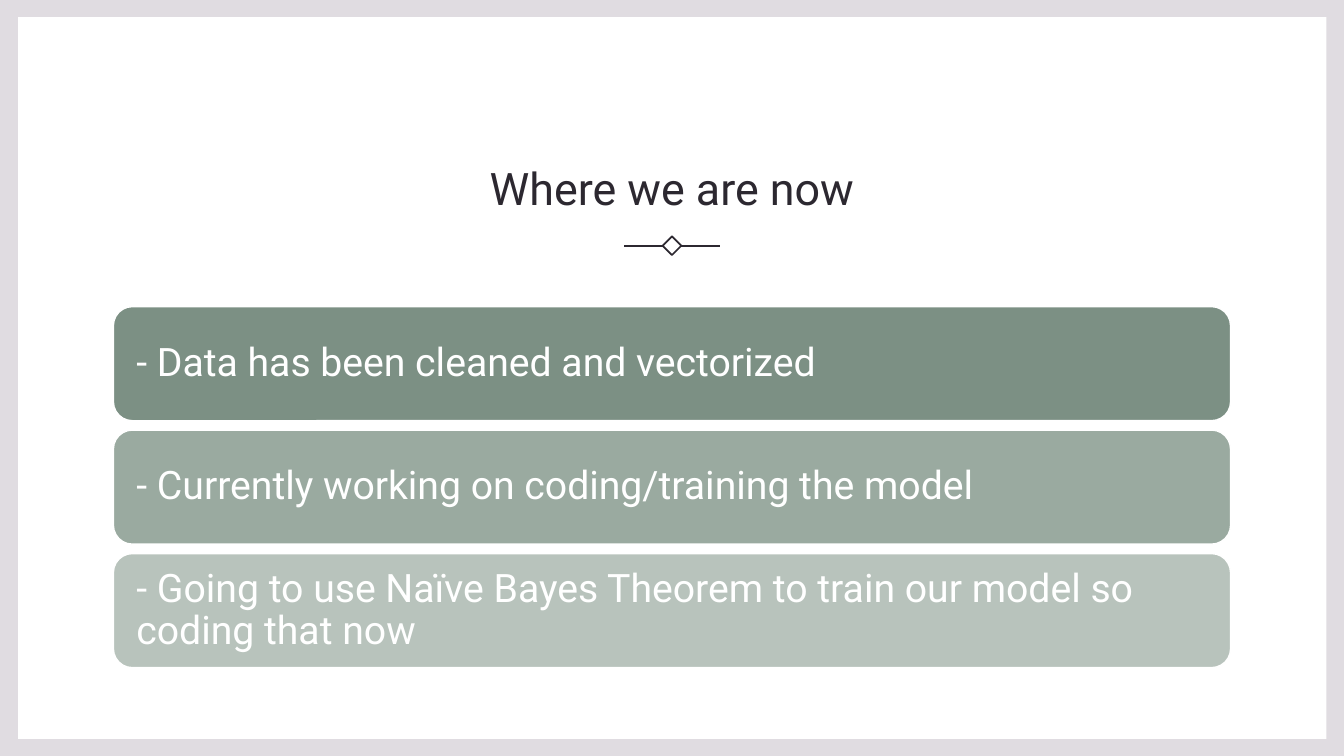
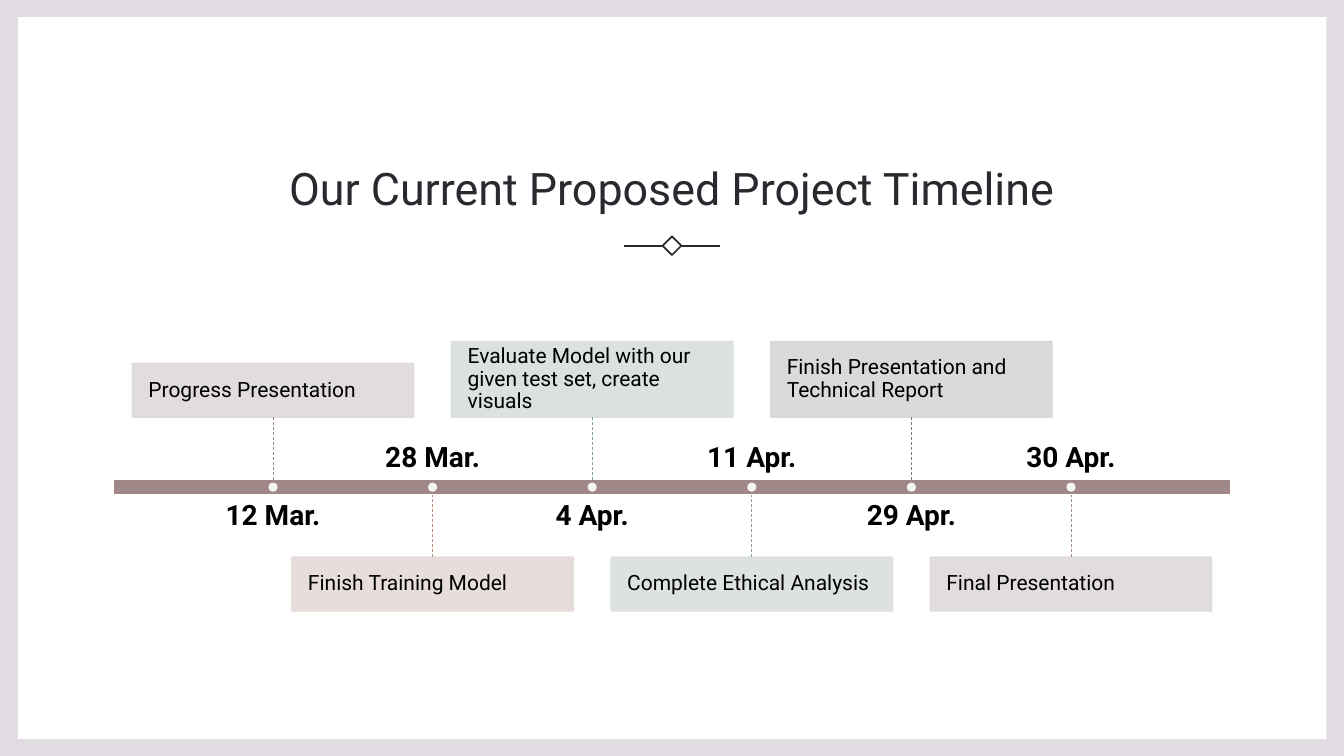
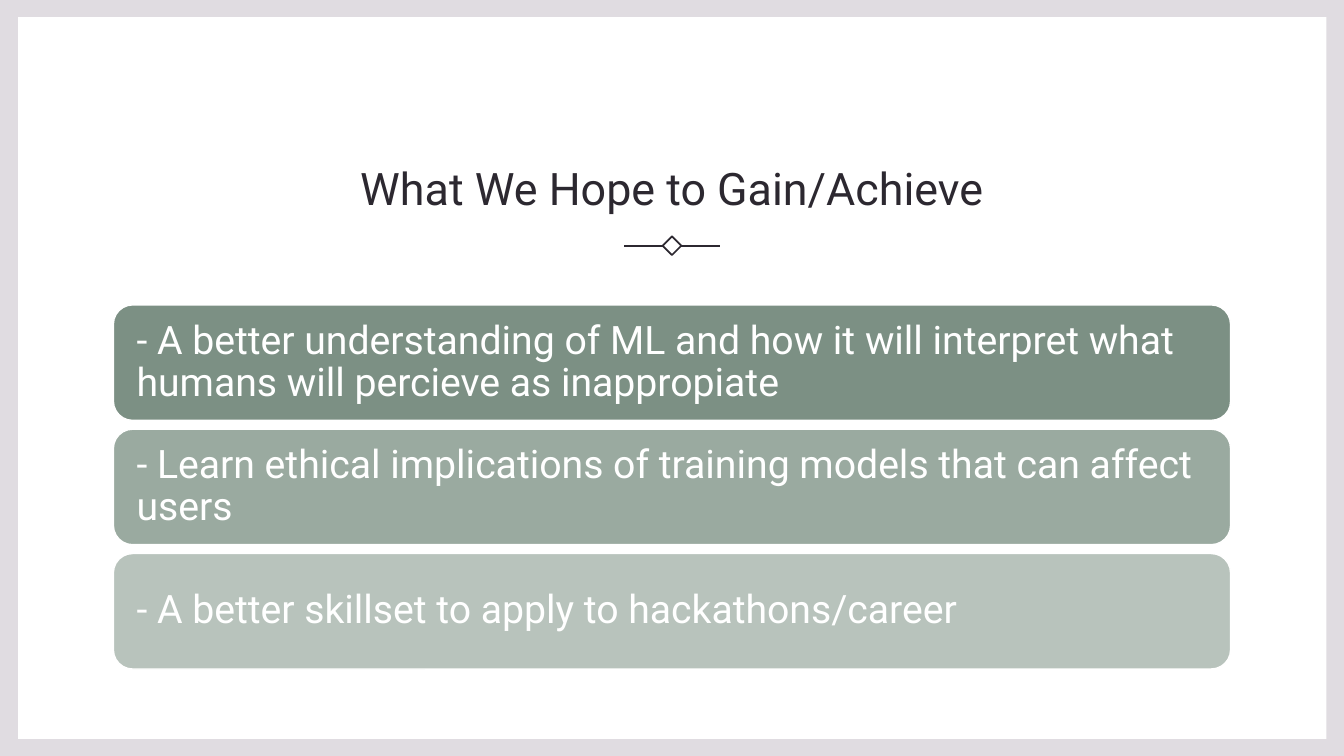
from pptx import Presentation
from pptx.dml.color import RGBColor
from pptx.enum.dml import MSO_LINE
from pptx.enum.shapes import MSO_CONNECTOR, MSO_SHAPE
from pptx.enum.text import MSO_ANCHOR as Anchor, MSO_AUTO_SIZE, PP_ALIGN as Align
from pptx.oxml.xmlchemy import OxmlElement
from pptx.util import Pt

WIDTH, HEIGHT = 960, 540
MARGIN = 81
CONTENT = WIDTH - 2 * MARGIN
BOTTOM, TOP = 2, 0  # connection sites of a rectangle


def color(hex_text):
    return RGBColor.from_string(hex_text)


def set_opacity(fill_owner, percent):
    """Add an alpha value to every solid colour below the given element."""
    for rgb in fill_owner.iter("{*}srgbClr"):
        alpha = OxmlElement("a:alpha")
        alpha.set("val", str(percent * 1000))
        rgb.append(alpha)


class Slides:
    FONT = "Roboto"
    INK, BLACK, WHITE = "2C2830", "000000", "FFFFFF"
    BORDER, BAR = "E0DCE1", "A08889"
    GREENS = ("7C9084", "9AAAA0", "B8C3BC")

    def __init__(self):
        self.deck = Presentation()
        self.deck.slide_width, self.deck.slide_height = Pt(WIDTH), Pt(HEIGHT)
        background = self.deck.slide_master.background.fill
        background.solid()
        background.fore_color.rgb = color(self.BORDER)
        self.page = None

    def new_page(self, title):
        """Start a slide with its white panel, title and divider."""
        self.page = self.deck.slides.add_slide(self.deck.slide_layouts[5])
        panel = self.shape(MSO_SHAPE.RECTANGLE, 13, 12.25, 934.5, 515.5, fill=self.WHITE)
        self.page.shapes._spTree.insert(2, panel._element)  # behind the title
        box = self.page.shapes.title
        box.left, box.top, box.width, box.height = Pt(MARGIN), Pt(75.5), Pt(CONTENT), Pt(81.5)
        self.add_text(box, title, 32, self.INK, Align.CENTER, Anchor.BOTTOM, spacing=1.1, inset=7.2, vertical=3.6)
        self.divider()

    def divider(self):
        middle, y, side = WIDTH / 2, 175.5, 9.5
        diamond = self.shape(MSO_SHAPE.RECTANGLE, middle - side / 2, y - side / 2, side, side, line=self.INK, weight=1.25)
        diamond.rotation = 45
        for direction in (-1, 1):
            self.connector(middle + direction * 6.75, y, middle + direction * 34.25, y, self.INK, 1.25)

    def shape(self, kind, left, top, width, height, fill=None, line=None, weight=1, opacity=100):
        shape = self.page.shapes.add_shape(kind, Pt(left), Pt(top), Pt(width), Pt(height))
        shape.shadow.inherit = False
        if fill:
            shape.fill.solid()
            shape.fill.fore_color.rgb = color(fill)
        else:
            shape.fill.background()
        if line:
            shape.line.color.rgb = color(line)
            shape.line.width = Pt(weight)
        else:
            shape.line.fill.background()
        if opacity < 100:
            set_opacity(shape._element.spPr, opacity)
        return shape

    def connector(self, x1, y1, x2, y2, line, weight, dashed=False):
        connector = self.page.shapes.add_connector(MSO_CONNECTOR.STRAIGHT, Pt(x1), Pt(y1), Pt(x2), Pt(y2))
        connector.line.color.rgb = color(line)
        connector.line.width = Pt(weight)
        if dashed:
            connector.line.dash_style = MSO_LINE.DASH
        connector._element.spPr.append(OxmlElement("a:effectLst"))
        return connector

    def add_text(self, box, text, size, ink, align=Align.LEFT, anchor=Anchor.MIDDLE,
                 bold=False, spacing=0.9, inset=0, vertical=0):
        frame = box.text_frame
        frame.word_wrap = True
        frame.auto_size = MSO_AUTO_SIZE.NONE
        frame.vertical_anchor = anchor
        frame.margin_left = frame.margin_right = Pt(inset)
        frame.margin_top = frame.margin_bottom = Pt(vertical)
        para = frame.paragraphs[0]
        para.alignment, para.line_spacing = align, spacing
        span = para.add_run()
        span.text = text
        span.font.name, span.font.size, span.font.bold = self.FONT, Pt(size), bold
        span.font.color.rgb = color(ink)

    def cards(self, texts, top, height, pitch):
        for row, (text, fill) in enumerate(zip(texts, self.GREENS)):
            card = self.shape(MSO_SHAPE.ROUNDED_RECTANGLE, MARGIN, top + row * pitch, CONTENT, height,
                              fill=fill, line=self.WHITE)
            self.add_text(card, text, 28, self.WHITE, inset=12.5)

    def timeline(self, events):
        """Draw events (date, task, box colour, line colour, box height) alternately above and below the bar."""
        axis, bar_height, first, pitch = 348, 10.5, 195, 114
        box_width, box_gap, date_width, date_height, date_gap, dot = 201, 50, 182, 30, 10, 6.5
        self.shape(MSO_SHAPE.RECTANGLE, MARGIN, axis - bar_height / 2, CONTENT, bar_height,
                   fill=self.BAR, line=self.WHITE)
        for index, (date, task, fill, line, height) in enumerate(events):
            x = first + index * pitch
            above = index % 2 == 0
            side = -1 if above else 1
            box_top = axis - box_gap - height if above else axis + box_gap
            box = self.shape(MSO_SHAPE.RECTANGLE, x - box_width / 2, box_top, box_width, height,
                             fill=fill, line=fill, opacity=90)
            self.add_text(box, task, 15, self.BLACK, inset=11.5)
            stem = self.connector(x, axis + side * box_gap, x, axis + side * bar_height / 2, line, 0.5, dashed=True)
            stem.begin_connect(box, BOTTOM if above else TOP)
            date_top = axis + date_gap if above else axis - date_gap - date_height
            label = self.page.shapes.add_textbox(Pt(x - date_width / 2), Pt(date_top), Pt(date_width), Pt(date_height))
            self.add_text(label, date, 20, self.BLACK, Align.CENTER, Anchor.TOP if above else Anchor.BOTTOM, bold=True)
            self.shape(MSO_SHAPE.OVAL, x - dot / 2, axis - dot / 2, dot, dot, fill=self.WHITE, opacity=90)


def main():
    slides = Slides()

    slides.new_page("Where we are now")
    slides.cards([
        "- Data has been cleaned and vectorized",
        "- Currently working on coding/training the model",
        "- Going to use Naïve Bayes Theorem to train our model so coding that now",
    ], top=219, height=81.5, pitch=88.2)

    slides.new_page("Our Current Proposed Project Timeline")
    slides.timeline([
        ("12 Mar.", "Progress Presentation", "DFDADA", "A08889", 38.5),
        ("28 Mar.", "Finish Training Model", "E5DAD8", "B48C7E", 38.5),
        ("4 Apr.", "Evaluate Model with our given test set, create visuals", "D8DEDE", "809C9B", 54),
        ("11 Apr.", "Complete Ethical Analysis", "DADFDC", "899F91", 38.5),
        ("29 Apr.", "Finish Presentation and Technical Report", "D5D8D6", "728274", 54),
        ("30 Apr.", "Final Presentation", "DFDADA", "A08889", 38.5),
    ])

    slides.new_page("What We Hope to Gain/Achieve")
    slides.cards([
        "- A better understanding of ML and how it will interpret what humans will percieve as inappropiate",
        "- Learn ethical implications of training models that can affect users",
        "- A better skillset to apply to hackathons/career",
    ], top=217.8, height=82.5, pitch=88.8)

    slides.deck.save("out.pptx")


if __name__ == "__main__":
    main()
